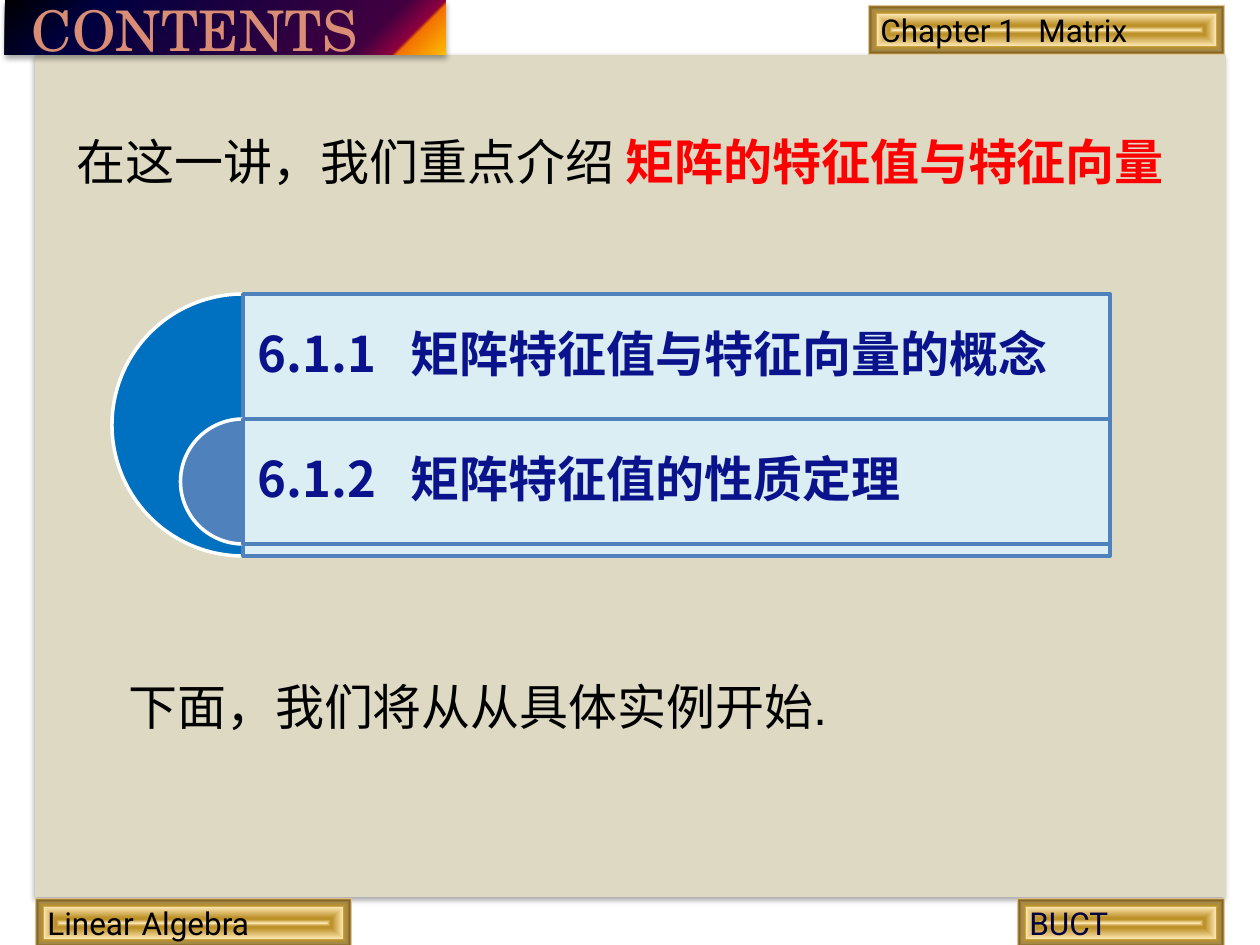
from lxml.etree import SubElement
from pptx import Presentation
from pptx.dml.color import RGBColor
from pptx.enum.shapes import MSO_SHAPE
from pptx.enum.text import MSO_ANCHOR, PP_ALIGN
from pptx.oxml import parse_xml
from pptx.oxml.ns import nsdecls, qn
from pptx.util import Pt

PX = 914400 / 126
CJK = "Noto Sans CJK SC"
COLORS = {
    "panel": "DDD9C3", "black": "000000", "red": "FF0000", "navy": "0A128C",
    "night": "000040", "title": "D98D75", "arc": "0070C0", "blue": "4F81BD",
    "pale": "DBEEF4", "white": "FFFFFF",
}
GOLD = [(0, "FBE4AE"), (13, "BD922A"), (21, "BD922A"), (63, "FBE4AE"),
        (67, "BD922A"), (82, "A28949"), (92, "835E17"), (100, "FAE3B7")]
DUSK = [(0, "000000"), (20, "000040"), (81, "400040"), (89, "8F0040"),
        (90, "F27300"), (97, "FBA600"), (100, "FFBF00")]
RECT_PATH = ('<a:path path="rect"><a:fillToRect l="50000" t="50000" '
             'r="50000" b="50000"/></a:path>')
DIAGONAL = '<a:lin ang="2700000" scaled="0"/>'


def emu(*sizes):
    return [round(size * PX) for size in sizes]


def rgb(name):
    return RGBColor.from_string(COLORS[name])


def add_shape(slide, box, fill=None, line=None, kind=MSO_SHAPE.RECTANGLE):
    shape = slide.shapes.add_shape(kind, *emu(*box))
    shape.shadow.inherit = False
    if fill:
        shape.fill.solid()
        shape.fill.fore_color.rgb = rgb(fill)
    if line:
        shape.line.color.rgb = rgb(line)
        shape.line.width = Pt(2)
    else:
        shape.line.fill.background()
    return shape


def add_blend(shape, stops, course):
    marks = "".join(f'<a:gs pos="{pos * 1000}"><a:srgbClr val="{color}"/></a:gs>'
                    for pos, color in stops)
    shape.element.spPr.find(qn("a:prstGeom")).addnext(parse_xml(
        f'<a:gradFill {nsdecls("a")} rotWithShape="1">'
        f'<a:gsLst>{marks}</a:gsLst>{course}</a:gradFill>'))


def add_shadow(shape):
    effects = shape.element.spPr.find(qn("a:effectLst"))
    effects.append(parse_xml(
        f'<a:outerShdw {nsdecls("a")} blurRad="40000" dist="23000" dir="5400000" '
        'rotWithShape="0"><a:srgbClr val="000000"><a:alpha val="35000"/>'
        '</a:srgbClr></a:outerShdw>'))


def set_font(font, name, size, color, bold=False):
    font.name = name
    font.size = Pt(size)
    font.bold = bold
    font.color.rgb = rgb(color)
    SubElement(font._element, qn("a:ea"), typeface=CJK)


def add_tab(para, stop):
    tabs = SubElement(para._p.get_or_add_pPr(), qn("a:tabLst"))
    SubElement(tabs, qn("a:tab"), pos=str(emu(stop)[0]), algn="l")


def add_plate(slide, box, text, color="black", stop=None):
    plate = add_shape(slide, box)
    add_blend(plate, GOLD, RECT_PATH)
    frame = plate.text_frame
    frame.vertical_anchor = MSO_ANCHOR.TOP
    para = frame.paragraphs[0]
    para.text = text
    para.alignment = PP_ALIGN.LEFT
    if stop:
        add_tab(para, stop)
    set_font(para.font, "Roboto", 18, color)


def add_label(slide, box):
    frame = slide.shapes.add_textbox(*emu(*box)).text_frame
    frame.word_wrap = True
    return frame


def add_topic(slide, box, text):
    frame = add_label(slide, box)
    frame.vertical_anchor = MSO_ANCHOR.MIDDLE
    frame.margin_left = frame.margin_right = emu(15)[0]
    frame.margin_top = frame.margin_bottom = emu(15)[0]
    para = frame.paragraphs[0]
    para.text = text
    para.line_spacing = 0.9
    add_tab(para, 153)
    set_font(para.font, CJK, 28, "navy", True)


def add_topics(slide, topics):
    left, top, width, row, full = 243, 294, 867, 125, 262
    fills = ["arc", "blue"]
    for i, text in enumerate(topics):
        y = top + i * row
        size = row if i else full
        pie = add_shape(slide, (left - size / 2, y, size, size),
                        fills[i], "white", MSO_SHAPE.PIE)
        pie.adjustments[0] = 54
        pie.adjustments[1] = 162
        add_shape(slide, (left, y, width, size), "pale", "blue")
        add_topic(slide, (left, y, width, row), text)


def add_title(slide, box, text):
    title = add_shape(slide, box)
    add_blend(title, DUSK, DIAGONAL)
    add_shadow(title)
    frame = title.text_frame
    frame.vertical_anchor = MSO_ANCHOR.MIDDLE
    frame.margin_left = emu(27)[0]
    frame.margin_top, frame.margin_bottom = emu(9, 6)
    para = frame.paragraphs[0]
    para.text = text
    para.alignment = PP_ALIGN.LEFT
    set_font(para.font, "TeX Gyre Schola", 32, "title")


def main():
    deck = Presentation()
    deck.slide_width, deck.slide_height = emu(1260, 945)
    slide = deck.slides.add_slide(deck.slide_layouts[6])
    add_shadow(add_shape(slide, (35, 55, 1191, 842), "panel"))
    add_plate(slide, (1017, 898, 208, 50), "BUCT", "night")
    add_plate(slide, (35, 898, 317, 50), "Linear Algebra")
    add_plate(slide, (868, 5, 357, 50), "Chapter 1\tMatrix", stop=158)

    intro = add_label(slide, (64, 125, 1131, 72)).paragraphs[0]
    for text, font, color, bold in [
            ("在这一讲，我们重点介绍 ", "Arial", "black", False),
            ("矩阵的特征值与特征向量", CJK, "red", True)]:
        run = intro.add_run()
        run.text = text
        set_font(run.font, font, 28, color, bold)

    add_topics(slide, ["6.1.1\t矩阵特征值与特征向量的概念",
                       "6.1.2\t矩阵特征值的性质定理"])
    close = add_label(slide, (116, 670, 1050, 72)).paragraphs[0]
    close.text = "下面，我们将从从具体实例开始."
    set_font(close.font, "Arial", 28, "black")
    add_title(slide, (5, 0, 441, 55), "CONTENTS")
    deck.save("out.pptx")


if __name__ == "__main__":
    main()
